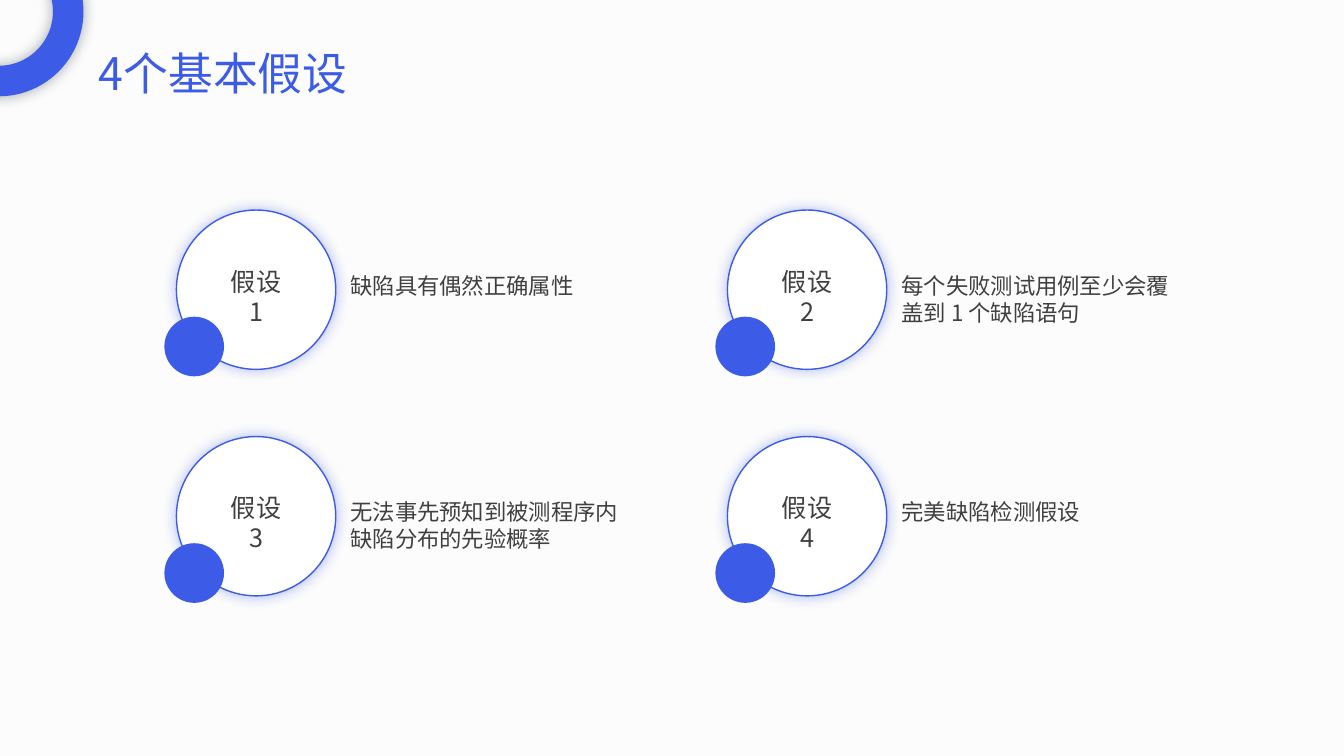
import pptx
import pptx.util
import pptx.dml.color
import pptx.enum.shapes
import pptx.enum.text
import pptx.oxml
import pptx.oxml.ns
from lxml import etree

TITLE = "4个基本假设"
CARDS = [
    ("假设1", "缺陷具有偶然正确属性"),
    ("假设2", "每个失败测试用例至少会覆盖到 1 个缺陷语句"),
    ("假设3", "无法事先预知到被测程序内缺陷分布的先验概率"),
    ("假设4", "完美缺陷检测假设"),
]
FONT = "Noto Sans CJK SC"
BLUE, DARK, WHITE = "3C5CE8", "404040", "FFFFFF"
LEFT, TOP = 126, 150
STEP_X, STEP_Y = 393.6, 161.8
DISC, DOT = 113.8, 42.6
LABEL = 60

Pt = pptx.util.Pt
SHAPE = pptx.enum.shapes.MSO_SHAPE
ALIGN = pptx.enum.text.PP_ALIGN
qn = pptx.oxml.ns.qn


def color(code):
    return pptx.dml.color.RGBColor.from_string(code)


def add_shape(kind, x, y, size, fill, line=None, glow=None):
    shape = slide.shapes.add_shape(kind, Pt(x), Pt(y), Pt(size), Pt(size))
    shape.shadow.inherit = False
    shape.fill.solid()
    shape.fill.fore_color.rgb = color(fill)
    if line:
        shape.line.color.rgb = color(line)
        shape.line.width = Pt(1)
    else:
        shape.line.fill.background()
    if glow:
        effects = shape.element.spPr.find(qn("a:effectLst"))
        shade = etree.SubElement(effects, qn("a:outerShdw"), blurRad=str(Pt(10)),
                                 dist="0", dir="0", algn="ctr", rotWithShape="0")
        tint = etree.SubElement(shade, qn("a:srgbClr"), val=glow)
        etree.SubElement(tint, qn("a:alpha"), val="40000")
    return shape


def add_text(text, x, y, width, height, size, ink, align=ALIGN.LEFT):
    box = slide.shapes.add_textbox(Pt(x), Pt(y), Pt(width), Pt(height))
    frame = box.text_frame
    frame.word_wrap = True
    frame.auto_size = pptx.enum.text.MSO_AUTO_SIZE.SHAPE_TO_FIT_TEXT
    para = frame.paragraphs[0]
    para.alignment = align
    run = para.add_run()
    run.text = text
    run.font.size = Pt(size)
    run.font.color.rgb = color(ink)
    run.font.name = FONT
    etree.SubElement(run.font._element, qn("a:ea"), typeface=FONT)


deck = pptx.Presentation()
deck.slide_width, deck.slide_height = Pt(960), Pt(540)
slide = deck.slides.add_slide(deck.slide_layouts[6])
slide.background.fill.solid()
slide.background.fill.fore_color.rgb = color("FCFCFC")

for index, (label, note) in enumerate(CARDS):
    row, col = divmod(index, 2)
    x, y = LEFT + col * STEP_X, TOP + row * STEP_Y
    add_shape(SHAPE.OVAL, x, y, DISC, WHITE, BLUE, BLUE)
    add_shape(SHAPE.OVAL, x - 8.6, y + 76.2, DOT, BLUE)
    add_text(label, x + (DISC - LABEL) / 2, y + 36.4, LABEL, 29, 18, DARK, ALIGN.CENTER)
    add_text(note, x + 117.2, y + 40.8, 215.3, 27, 16, DARK)

ring = add_shape(SHAPE.DONUT, -61.4, -52.2, 121, BLUE, glow="222A35")
ring.adjustments[0] = 0.18
add_text(TITLE, 63.4, 28.8, 332.6, 46, 32, BLUE)

deck.save("out.pptx")
